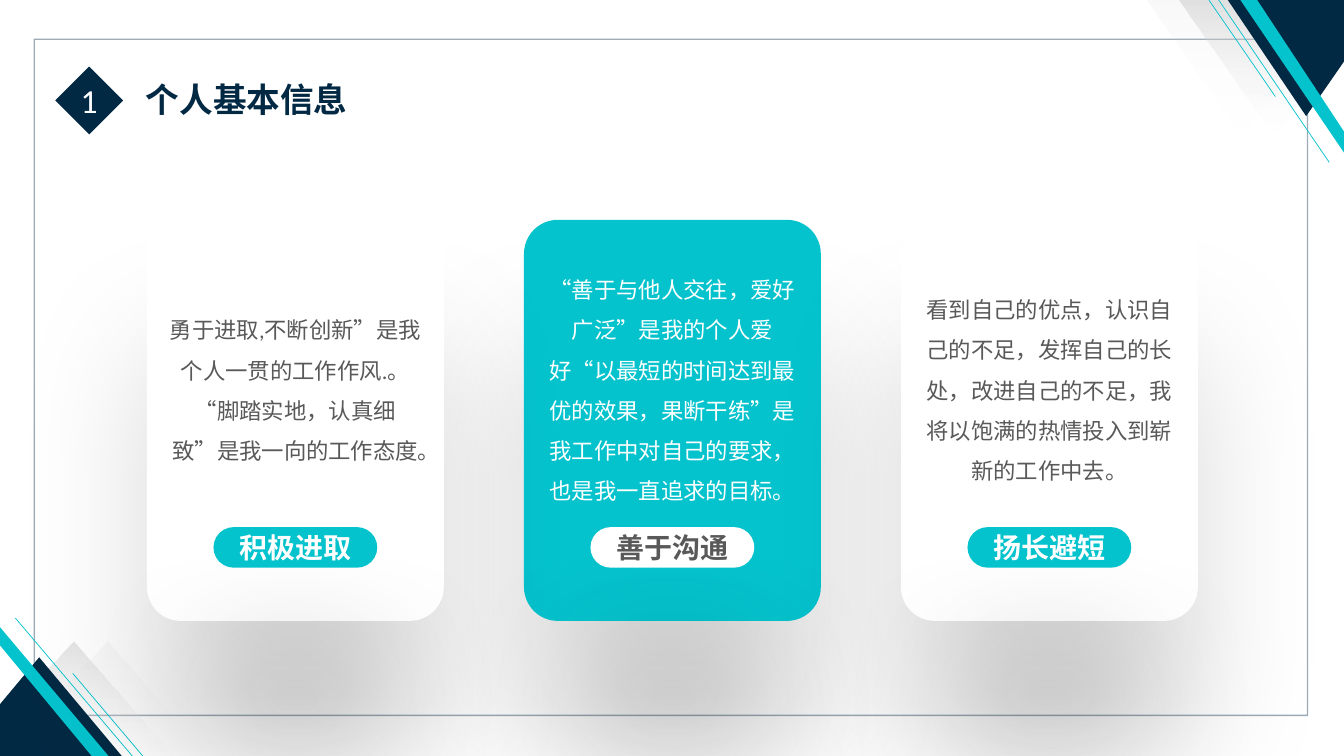
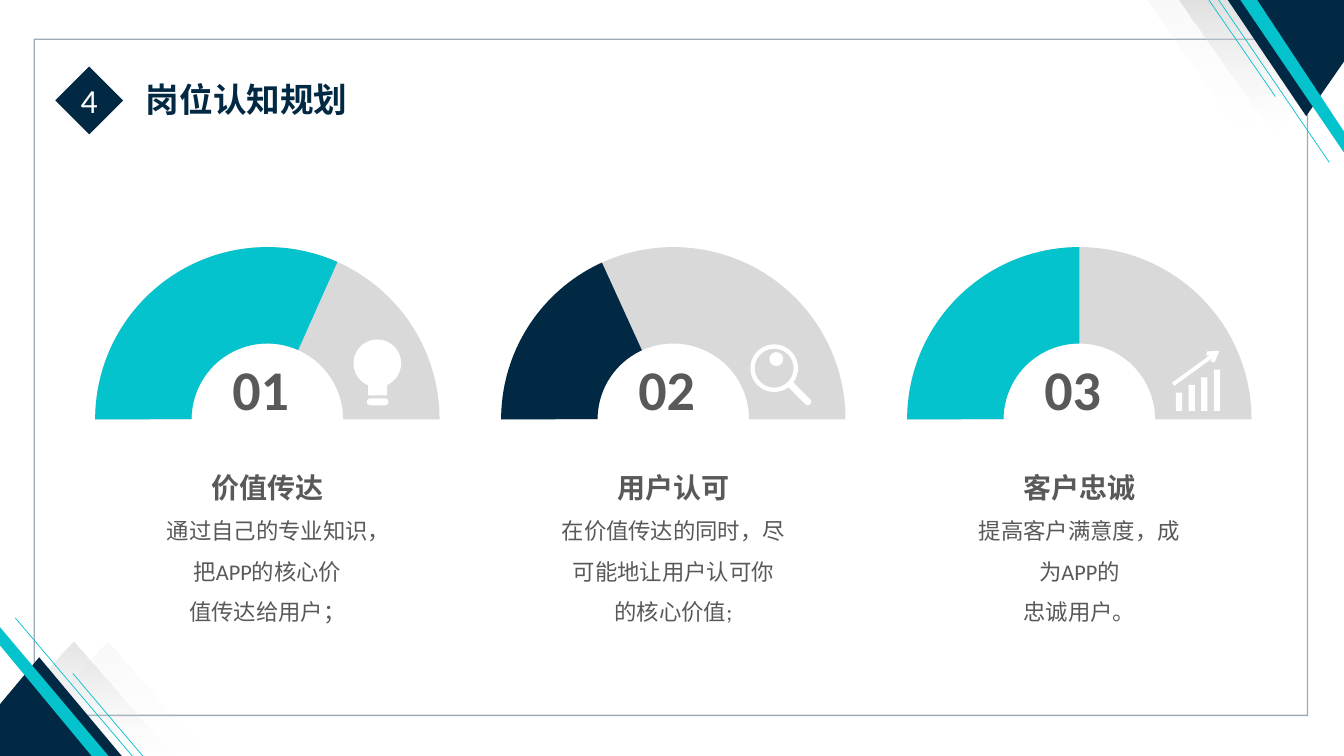
"""Build two career-report slides: personal strengths and role planning."""
from lxml.etree import SubElement
from pptx import Presentation
from pptx.dml.color import RGBColor
from pptx.enum.shapes import MSO_CONNECTOR, MSO_SHAPE as SHAPE
from pptx.enum.text import MSO_ANCHOR as ANCHOR, MSO_AUTO_SIZE, PP_ALIGN as ALIGN
from pptx.oxml.ns import qn
from pptx.util import Pt

C = {
    "navy": "022943", "teal": "04C3CD", "white": "FFFFFF", "text": "595959",
    "track": "D9D9D9", "pale": "F0F0F0", "grey": "C8C8C8", "shadow": "0D0D0D",
}
FONT = "Calibri"


def write(tf, text, size=16, color="text", bold=False, align=ALIGN.CENTER,
          anchor=ANCHOR.MIDDLE, spacing=1.0, wrap=True, margin=None):
    tf.word_wrap = wrap
    tf.auto_size = MSO_AUTO_SIZE.NONE
    tf.vertical_anchor = anchor
    if margin is not None:
        tf.margin_left = tf.margin_right = tf.margin_top = tf.margin_bottom = Pt(margin)
    p = tf.add_paragraph() if tf.text else tf.paragraphs[0]
    p.alignment = align
    p.line_spacing = spacing
    p.space_before = Pt(0)
    r = p.add_run()
    r.text = text
    r.font.name = FONT
    r.font.size = Pt(size)
    r.font.bold = bold
    r.font.color.rgb = RGBColor.from_string(C[color])


def draw(s, kind, points, color, width=None):
    if kind == "line":
        (x1, y1), (x2, y2) = points
        sp = s.shapes.add_connector(MSO_CONNECTOR.STRAIGHT, Pt(x1), Pt(y1), Pt(x2), Pt(y2))
        sp.line.color.rgb = RGBColor.from_string(C[color])
        sp.line.width = Pt(width)
        SubElement(sp.element.spPr, qn("a:effectLst"))
        return sp
    if kind == "polygon":
        corners = [(Pt(x), Pt(y)) for x, y in points]
        fb = s.shapes.build_freeform(*corners[0])
        fb.add_line_segments(corners[1:], close=True)
        sp = fb.convert_to_shape()
    else:
        sp = s.shapes.add_shape(kind, *[Pt(v) for v in points])
    sp.shadow.inherit = False
    sp.line.fill.background()
    sp.fill.solid()
    sp.fill.fore_color.rgb = RGBColor.from_string(C[color])
    return sp


prs = Presentation()
prs.slide_width, prs.slide_height = Pt(960), Pt(540)
layout = prs.slide_layouts[5]
for ph in list(layout.placeholders):
    if ph.placeholder_format.idx:
        ph.element.getparent().remove(ph.element)
title = layout.placeholders[0]
title.left, title.top, title.width, title.height = Pt(97), Pt(53), Pt(420), Pt(36)

strengths = prs.slides.add_slide(layout)
planning = prs.slides.add_slide(layout)

frame = draw(strengths, SHAPE.RECTANGLE, (24.5, 28, 909.5, 483), "white")
frame.fill.background()
frame.line.color.rgb = RGBColor.from_string(C["navy"])
frame.line.width = Pt(1)
for clr in frame.element.iter(qn("a:srgbClr")):
    SubElement(clr, qn("a:alpha"), val="39000")
decor = [frame]

corners = [
    {
        "veil": [(819, 0), (887, 96.5), (929, 42.5), (929.5, 0)],
        "shift": 23,
        "wedge": [(877, 0), (933, 83), (960, 44), (960, 0)],
        "stripe": [(886, 0), (898, 0), (960, 94), (960, 109)],
        "lines": [[(870.5, 0), (949.5, 116)], [(863.5, 0), (911, 69)]],
    },
    {
        "veil": [(149, 540), (77, 458), (32.5, 505), (32.5, 540)],
        "shift": -24.5,
        "wedge": [(0, 503), (28, 469.5), (87, 540), (0, 540)],
        "stripe": [(0, 448), (77.5, 540), (65.5, 540), (0, 461)],
        "lines": [[(94.5, 540), (11, 441.5)], [(102, 540), (52, 481)]],
    },
]
for corner in corners:
    for dx, alpha in ((0, 12), (corner["shift"], 49)):
        veil = draw(strengths, "polygon", [(x + dx, y) for x, y in corner["veil"]], "grey")
        veil.fill.gradient()
        veil.fill.gradient_angle = 90
        for stop, color, opacity in zip(veil.fill.gradient_stops, ("pale", "grey"), (0, alpha)):
            stop.color.rgb = RGBColor.from_string(C[color])
        for clr, opacity in zip(veil.element.iter(qn("a:srgbClr")), (0, alpha)):
            SubElement(clr, qn("a:alpha"), val=str(opacity * 1000))
        decor.append(veil)
    decor.append(draw(strengths, "polygon", corner["wedge"], "navy"))
    decor.append(draw(strengths, "polygon", corner["stripe"], "teal"))
    for ends in corner["lines"]:
        decor.append(draw(strengths, "line", ends, "teal", 0.5))
for sp in decor:
    layout.shapes.element.append(sp.element)

for s, number, heading in ((strengths, "1", "个人基本信息"), (planning, "4", "岗位认知规划")):
    write(s.shapes.title.text_frame, heading, size=24, color="navy", bold=True,
          align=ALIGN.LEFT, wrap=False)
    sp = draw(s, SHAPE.DIAMOND, (39.5, 47.5, 48.5, 48.5), "navy")
    write(sp.text_frame, number, size=24, color="white", margin=0)

cards = [
    (1, "善于沟通", "teal", "white", "white", "text",
     "“善于与他人交往，爱好广泛”是我的个人爱好“以最短的时间达到最优的效果，果断干练”"
     "是我工作中对自己的要求，也是我一直追求的目标。"),
    (0, "积极进取", "white", "text", "teal", "white",
     "勇于进取,不断创新”是我个人一贯的工作作风.。“脚踏实地，认真细致”是我一向的工作态度。"),
    (2, "扬长避短", "white", "text", "teal", "white",
     "看到自己的优点，认识自己的不足，发挥自己的长处，改进自己的不足，"
     "我将以饱满的热情投入到崭新的工作中去。"),
]
for column, label, card_fill, body_color, pill_fill, label_color, body in cards:
    x = 105 + column * 269.3
    card = draw(strengths, SHAPE.ROUNDED_RECTANGLE, (x, 157, 212, 286.5), card_fill)
    card.adjustments[0] = 0.114
    pill = draw(strengths, SHAPE.ROUNDED_RECTANGLE, (x + 47.5, 376.5, 117, 29), pill_fill)
    pill.adjustments[0] = 0.5
    write(pill.text_frame, label, size=20, color=label_color, bold=True, margin=0)
    for sp, alpha, dist in ((card, 15, 90), (pill, 40, 108)):
        effects = sp.element.spPr.find(qn("a:effectLst"))
        shadow = SubElement(effects, qn("a:outerShdw"), blurRad=str(Pt(100)),
                            dist=str(Pt(dist)), dir="5400000", algn="t", rotWithShape="0")
        clr = SubElement(shadow, qn("a:srgbClr"), val=C["shadow"])
        SubElement(clr, qn("a:alpha"), val=str(alpha * 1000))
    tb = strengths.shapes.add_textbox(Pt(x + 8), Pt(194.5), Pt(196), Pt(159))
    write(tb.text_frame, body, color=body_color, spacing=1.5)

gauges = [
    ("01", 294, "teal", 168, "价值传达",
     ["通过自己的专业知识，", "把APP的核心价", "值传达给用户；"]),
    ("02", 245.5, "navy", 187, "用户认可",
     ["在价值传达的同时，尽可能地让用户认可你", "的核心价值;"]),
    ("03", 270, "teal", 171, "客户忠诚",
     ["提高客户满意度，成为APP的", "忠诚用户。"]),
]
for i, (number, end, color, width, heading, lines) in enumerate(gauges):
    cx = 191 + i * 290
    tb = planning.shapes.add_textbox(Pt(cx - 25), Pt(253.5), Pt(41), Pt(48))
    write(tb.text_frame, number, size=40, bold=True, align=ALIGN.LEFT, wrap=False, margin=0)
    for angle, fill in ((0, "track"), (end, color)):
        arc = draw(planning, SHAPE.BLOCK_ARC, (cx - 123, 176.5, 246, 246), fill)
        arc.adjustments[0] = 180 * 0.6
        arc.adjustments[1] = angle * 0.6
        arc.adjustments[2] = 0.28
    tb = planning.shapes.add_textbox(Pt(cx - width / 2), Pt(320.5), Pt(width), Pt(131))
    write(tb.text_frame, heading, size=20, bold=True, anchor=ANCHOR.TOP, spacing=1.5)
    for line in lines:
        write(tb.text_frame, line, anchor=ANCHOR.TOP, spacing=1.5)

draw(planning, SHAPE.OVAL, (252.5, 242.5, 34, 34), "white")
draw(planning, SHAPE.RECTANGLE, (263, 272, 13.5, 10.5), "white")
bulb_base = draw(planning, SHAPE.ROUNDED_RECTANGLE, (262, 284.5, 15.5, 5), "white")
bulb_base.adjustments[0] = 0.5

lens = draw(planning, SHAPE.DONUT, (536, 246, 34, 34), "white")
lens.adjustments[0] = 0.09
draw(planning, SHAPE.OVAL, (549.5, 251.5, 10, 10), "white")
handle = draw(planning, "line", [(565, 275), (577, 287)], "white", 5)
handle.line.fill.solid()
handle.line.fill.fore_color.rgb = RGBColor.from_string(C["white"])
handle.element.spPr.find(qn("a:ln")).set("cap", "rnd")

for i in range(4):
    height = 13 + i * 5.5
    draw(planning, SHAPE.RECTANGLE, (840 + i * 9, 293.5 - height, 4.5, height), "white")
trend = draw(planning, "line", [(838, 274.5), (871, 250.5)], "white", 2.75)
SubElement(trend.element.spPr.find(qn("a:ln")), qn("a:tailEnd"), type="arrow")

prs.save("out.pptx")
